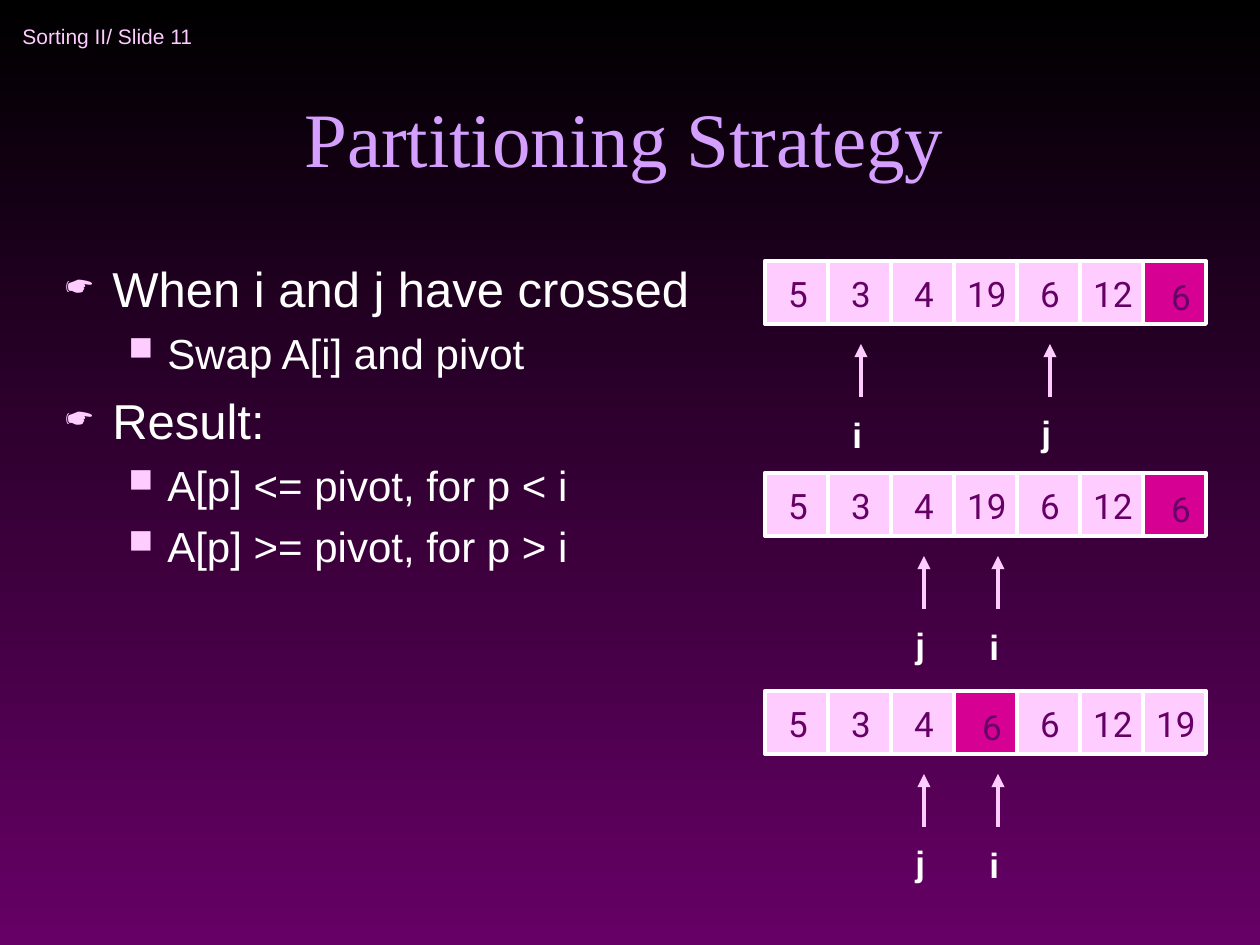
from dataclasses import dataclass
from typing import NamedTuple

from lxml.etree import SubElement
from pptx import Presentation
from pptx.dml.color import RGBColor
from pptx.enum.shapes import MSO_CONNECTOR, MSO_SHAPE
from pptx.enum.text import MSO_ANCHOR, MSO_AUTO_SIZE, PP_ALIGN
from pptx.oxml.ns import qn
from pptx.util import Emu, Pt

SCALE = 914400 / 126  # EMU in one px
LEFT, SIDE, MID = 765, 63, 33  # first cell, cell side, centre of its number


@dataclass(frozen=True)
class Theme:
    black: str = "000000"
    plum: str = "660066"
    lilac: str = "D49FFF"
    pink: str = "FFCCFF"
    hot: str = "D60093"
    white: str = "FFFFFF"
    sans: str = "Arial"
    serif: str = "Times New Roman"
    digit: str = "Roboto"
    small: int = 12
    large: int = 44
    point: int = 28
    sub: int = 24
    label: int = 20
    border: float = 2.25
    arrow: float = 2.5


class Box(NamedTuple):
    x: int
    y: int
    w: int
    h: int


class Mark(NamedTuple):
    name: str
    x: int


class Row(NamedTuple):
    y: int
    cells: tuple[int, ...]
    pivot: int
    marks: tuple[Mark, ...]


class Level(NamedTuple):
    sign: str
    share: int  # bullet size in percent
    left: int
    hang: int
    space: int
    size: int


T = Theme()

LEVELS = (
    Level("☛", 75, 47, 47, 7, T.point),
    Level("■", 80, 102, 39, 6, T.sub),
)
POINTS = (
    (0, "When i and j have crossed"),
    (1, "Swap A[i] and pivot"),
    (0, "Result:"),
    (1, "A[p] <= pivot, for p < i"),
    (1, "A[p] >= pivot, for p > i"),
)
START = (5, 3, 4, 19, 6, 12, 6)
DONE = (5, 3, 4, 6, 6, 12, 19)
MET = (Mark("j", 924), Mark("i", 998))
ROWS = (
    Row(261, START, 6, (Mark("i", 861), Mark("j", 1050))),
    Row(473, START, 6, MET),
    Row(691, DONE, 3, MET),
)


def px(count: int) -> Emu:
    return Emu(round(count * SCALE))


def rgb(code: str) -> RGBColor:
    return RGBColor.from_string(code)


def add_box(slide, box: Box, **frame):
    """Add a text box and return its text frame."""
    text = slide.shapes.add_textbox(*map(px, box)).text_frame
    for key, value in {"word_wrap": True, **frame}.items():
        setattr(text, key, value)
    return text


def write(para, words: str, color: str, size: int, **style) -> None:
    run = para.add_run()
    run.text = words
    run.font.color.rgb = rgb(color)
    for key, value in {"size": Pt(size), "name": T.sans, **style}.items():
        setattr(run.font, key, value)


def add_bullet(para, level: Level) -> None:
    props = para._p.get_or_add_pPr()
    props.set("marL", str(px(level.left)))
    props.set("indent", str(-px(level.hang)))
    tint = SubElement(props, qn("a:buClr"))
    SubElement(tint, qn("a:srgbClr"), val=T.pink)
    SubElement(props, qn("a:buSzPct"), val=str(level.share * 1000))
    SubElement(props, qn("a:buChar"), char=level.sign)


def draw_points(slide, box: Box) -> None:
    text = add_box(slide, box)
    for index, (depth, words) in enumerate(POINTS):
        para = text.add_paragraph() if index else text.paragraphs[0]
        level = LEVELS[depth]
        para.level = depth
        add_bullet(para, level)
        if index:
            para.space_before = Pt(level.space)
        write(para, words, T.white, level.size)


def draw_cell(slide, x: int, y: int, value: int, pivot: bool) -> None:
    cell = slide.shapes.add_shape(
        MSO_SHAPE.RECTANGLE, *map(px, (x, y, SIDE, SIDE)))
    cell.shadow.inherit = False
    cell.fill.solid()
    cell.fill.fore_color.rgb = rgb(T.hot if pivot else T.pink)
    cell.line.color.rgb = rgb(T.white)
    cell.line.width = Pt(T.border)
    # The pivot number sits a little lower and further right
    right, down = (5, 8) if pivot else (0, 5)
    width = 46 if value < 10 else 66
    box = Box(x + MID + right - width // 2, y + down, width, 55)
    text = add_box(slide, box, word_wrap=False,
                   auto_size=MSO_AUTO_SIZE.SHAPE_TO_FIT_TEXT)
    para = text.paragraphs[0]
    para.alignment = PP_ALIGN.CENTER
    write(para, str(value), T.plum, T.label, name=T.digit)


def draw_mark(slide, mark: Mark, y: int) -> None:
    arrow = slide.shapes.add_connector(
        MSO_CONNECTOR.STRAIGHT, px(mark.x), px(y + 136), px(mark.x), px(y + 83))
    arrow.line.color.rgb = rgb(T.pink)
    arrow.line.width = Pt(T.arrow)
    SubElement(arrow.line._get_or_add_ln(), qn("a:tailEnd"), type="triangle")
    SubElement(arrow._element.spPr, qn("a:effectLst"))
    width, drop = (42, 146) if mark.name == "i" else (53, 144)
    text = add_box(slide, Box(mark.x - 21, y + drop, width, 55),
                   auto_size=MSO_AUTO_SIZE.SHAPE_TO_FIT_TEXT)
    write(text.paragraphs[0], mark.name, T.white, T.label, bold=True)


def draw_row(slide, row: Row) -> None:
    for index, value in enumerate(row.cells):
        draw_cell(slide, LEFT + index * SIDE, row.y, value, index == row.pivot)
    for mark in row.marks:
        draw_mark(slide, mark, row.y)


def main() -> None:
    deck = Presentation()
    deck.slide_width, deck.slide_height = px(1260), px(945)
    slide = deck.slides.add_slide(deck.slide_layouts[6])

    # Background, dark at the top
    fill = slide.background.fill
    fill.gradient()
    fill.gradient_angle = 270
    for stop, place, color in zip(fill.gradient_stops, (0, 1), (T.black, T.plum)):
        stop.position = place
        stop.color.rgb = rgb(color)

    # Header and title
    head = add_box(slide, Box(10, 10, 347, 53), word_wrap=False,
                   vertical_anchor=MSO_ANCHOR.MIDDLE)
    write(head.paragraphs[0], "Sorting II/ Slide 11", T.pink, T.small)
    title = add_box(slide, Box(84, 32, 1081, 157),
                    vertical_anchor=MSO_ANCHOR.BOTTOM)
    title.paragraphs[0].alignment = PP_ALIGN.CENTER
    write(title.paragraphs[0], "Partitioning Strategy", T.lilac, T.large,
          name=T.serif)

    # Points on the left, array states on the right
    draw_points(slide, Box(53, 252, 672, 567))
    for row in ROWS:
        draw_row(slide, row)

    deck.save("out.pptx")


if __name__ == "__main__":
    main()
